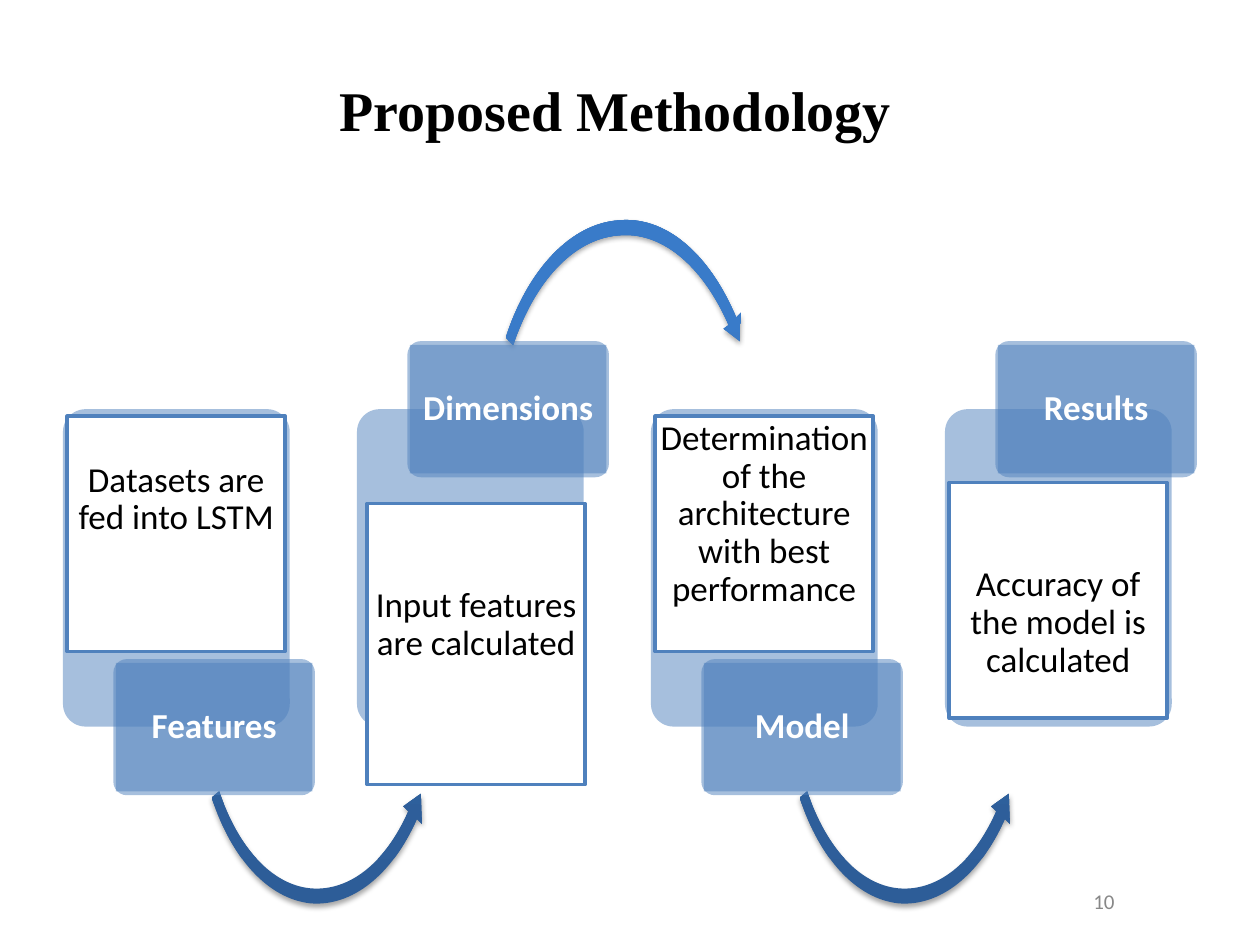
"""Build the Proposed Methodology slide: four stages joined by curved arrows."""
from dataclasses import dataclass
from typing import Optional

from lxml import etree
from pptx import Presentation
from pptx import util as u
from pptx.dml.color import RGBColor
from pptx.enum import shapes, text
from pptx.oxml import ns

BLUE, WHITE, BLACK, GREY = "4F81BD", "FFFFFF", "000000", "888888"
STAGE_LEFT, STAGE_PITCH = 36, 168
PANEL_TOP, PANEL_WIDTH, PANEL_HEIGHT = 233.8, 129.6, 181.4
TAG_INDENT, TAG_WIDTH, TAG_HEIGHT = 28.8, 115.2, 77.8
HIGH_TAG, LOW_TAG = 194.9, 376.6


@dataclass(frozen=True)
class Arrow:
    frame: tuple
    start: tuple
    segments: tuple
    bottom_colour: str
    top_colour: str


@dataclass(frozen=True)
class Stage:
    tag: str
    tag_top: float
    detail: str
    detail_top: float
    detail_height: float = 134.6
    detail_indent: float = 2.4
    text_gap: float = 0
    arrow: Optional[Arrow] = None


LOW_ARROW = Arrow(
    (72, 272.2, 146.9, 249.8), (85, 455.8),
    (((89.3, 452.2),),
     ((100.1, 484.6), (119.5, 505.4), (141.1, 507.6)),
     ((163.4, 509.8), (184.3, 493.2), (197.3, 463.7)),
     ((194.4, 460.8),), ((204.5, 453.6),), ((205.2, 470.9),), ((202.3, 468),),
     ((187.9, 500.4), (164.9, 518.4), (141.1, 516.2)),
     ((117.4, 513.4), (96.5, 491), (85, 455.8))),
    "2D5D98", "3267A7")
HIGH_ARROW = Arrow(
    (71.3, 120.2, 163.4, 277.9), (85, 193),
    (((97.9, 153.4), (122.4, 128.2), (149, 126)),
     ((175.7, 123.1), (200.9, 144), (216.7, 181.4)),
     ((219.6, 178.6),), ((218.9, 195.1),), ((209.5, 187.9),), ((212.4, 185.8),),
     ((197.3, 151.2), (173.5, 131.8), (149, 134.6)),
     ((123.8, 136.8), (101.5, 160.6), (89.3, 197.3))),
    "3B77C0", "397BC9")

STAGES = (
    Stage("Features", LOW_TAG, "Datasets are fed into LSTM", 237.8,
          text_gap=24, arrow=LOW_ARROW),
    Stage("Dimensions", HIGH_TAG, "Input features are calculated", 287.8,
          detail_height=160.6, detail_indent=5.8, text_gap=45.7, arrow=HIGH_ARROW),
    Stage("Model", LOW_TAG, "Determination of the architecture with best performance",
          237.8, arrow=LOW_ARROW),
    Stage("Results", HIGH_TAG, "Accuracy of the model is calculated", 275.8,
          text_gap=45.7),
)


def colour(value: str) -> RGBColor:
    """Turn a hex string into a colour."""
    return RGBColor.from_string(value)


def add_box(page, kind, left: float, top: float, width: float, height: float,
            fill: str, opacity: int = 100, line: Optional[str] = None):
    """Draw a flat filled box, optionally see-through or outlined."""
    box = page.shapes.add_shape(kind, u.Pt(left), u.Pt(top), u.Pt(width), u.Pt(height))
    box.shadow.inherit = False
    box.fill.solid()
    box.fill.fore_color.rgb = colour(fill)
    if opacity < 100:
        paint = box._element.spPr.find(".//" + ns.qn("a:srgbClr"))
        etree.SubElement(paint, ns.qn("a:alpha"), val=str(opacity * 1000))
    if line:
        box.line.color.rgb = colour(line)
        box.line.width = u.Pt(2)
    else:
        box.line.fill.background()
    return box


def add_rounded(page, left: float, top: float, width: float, height: float) -> None:
    """Draw a half-transparent rounded blue box."""
    box = add_box(page, shapes.MSO_SHAPE.ROUNDED_RECTANGLE, left, top, width, height, BLUE, 50)
    box.adjustments[0] = 0.1


def write(box, words: str, size: float, ink: str, font: str = "Calibri",
          bold: bool = False, align=text.PP_ALIGN.CENTER,
          anchor=text.MSO_ANCHOR.MIDDLE, spacing: float = 0.9,
          margins: tuple = (2.9, 2.2, 2.9, 2.2)) -> None:
    """Put one formatted run of text in a box."""
    frame = box.text_frame
    frame.word_wrap = True
    frame.vertical_anchor = anchor
    (frame.margin_left, frame.margin_top,
     frame.margin_right, frame.margin_bottom) = map(u.Pt, margins)
    para = frame.paragraphs[0]
    para.alignment = align
    para.line_spacing = spacing
    span = para.add_run()
    span.text = words
    span.font.name = font
    span.font.size = u.Pt(size)
    span.font.bold = bold
    span.font.color.rgb = colour(ink)


def add_segment(track, tag: str, points: tuple, origin: tuple) -> None:
    """Append one drawing command with its points to a freeform track."""
    command = etree.SubElement(track, ns.qn(tag))
    for x, y in points:
        etree.SubElement(command, ns.qn("a:pt"),
                         x=str(u.Pt(x - origin[0])), y=str(u.Pt(y - origin[1])))


def add_arrow(page, arrow: Arrow, left: float) -> None:
    """Draw a curved arrow with a vertical gradient and a soft shadow."""
    x, y, width, height = arrow.frame
    right, bottom = u.Pt(left + x + width), u.Pt(y + height)
    builder = page.shapes.build_freeform(u.Pt(left + x), u.Pt(y))
    builder.add_line_segments([(right, u.Pt(y)), (right, bottom)], close=True)
    curve = builder.convert_to_shape()
    track = curve._element.spPr.find(".//" + ns.qn("a:path"))
    for command in list(track):
        track.remove(command)
    add_segment(track, "a:moveTo", (arrow.start,), (x, y))
    for segment in arrow.segments:
        tag = "a:lnTo" if len(segment) == 1 else "a:cubicBezTo"
        add_segment(track, tag, segment, (x, y))
    etree.SubElement(track, ns.qn("a:close"))
    curve.line.fill.background()
    curve.fill.gradient()
    curve.fill.gradient_angle = 90
    for stop, shade in zip(curve.fill.gradient_stops, (arrow.bottom_colour, arrow.top_colour)):
        stop.color.rgb = colour(shade)
    curve.shadow.inherit = False
    effects = curve._element.spPr.find(ns.qn("a:effectLst"))
    shadow = etree.SubElement(effects, ns.qn("a:outerShdw"), blurRad=str(u.Pt(3.1)),
                              dist=str(u.Pt(1.8)), dir="5400000", rotWithShape="0")
    paint = etree.SubElement(shadow, ns.qn("a:srgbClr"), val=BLACK)
    etree.SubElement(paint, ns.qn("a:alpha"), val="35000")


def add_stage(page, stage: Stage, left: float) -> None:
    """Draw one stage with its panel, detail, arrow and tag."""
    add_rounded(page, left, PANEL_TOP, PANEL_WIDTH, PANEL_HEIGHT)
    detail = add_box(page, shapes.MSO_SHAPE.RECTANGLE, left + stage.detail_indent,
                     stage.detail_top, 124.6, stage.detail_height, WHITE, line=BLUE)
    write(detail, stage.detail, 20, BLACK, anchor=text.MSO_ANCHOR.TOP,
          margins=(2.2, 2.2 + stage.text_gap, 2.2, 2.2))
    if stage.arrow:
        add_arrow(page, stage.arrow, left)
    tag_left = left + TAG_INDENT
    add_rounded(page, tag_left, stage.tag_top, TAG_WIDTH, TAG_HEIGHT)
    tag = add_box(page, shapes.MSO_SHAPE.RECTANGLE, tag_left + 1.4, stage.tag_top + 2.2,
                  TAG_WIDTH - 2.8, TAG_HEIGHT - 4.4, BLUE, 50)
    write(tag, stage.tag, 20, WHITE, bold=True)


def main() -> None:
    """Build and save the deck."""
    deck = Presentation()
    deck.slide_width, deck.slide_height = u.Pt(720), u.Pt(540)
    page = deck.slides.add_slide(deck.slide_layouts[6])
    title = page.shapes.add_textbox(u.Pt(67.3), u.Pt(23.8), u.Pt(568.8), u.Pt(80.6))
    write(title, "Proposed Methodology", 32, BLACK, "Times New Roman", True, spacing=0.95)
    for index, stage in enumerate(STAGES):
        add_stage(page, stage, STAGE_LEFT + index * STAGE_PITCH)
    number = page.shapes.add_textbox(u.Pt(528), u.Pt(500.4), u.Pt(116), u.Pt(28.8))
    write(number, "10", 12, GREY, align=text.PP_ALIGN.RIGHT, spacing=1.0,
          margins=(7.2, 3.6, 7.2, 3.6))
    deck.save("out.pptx")


if __name__ == "__main__":
    main()
